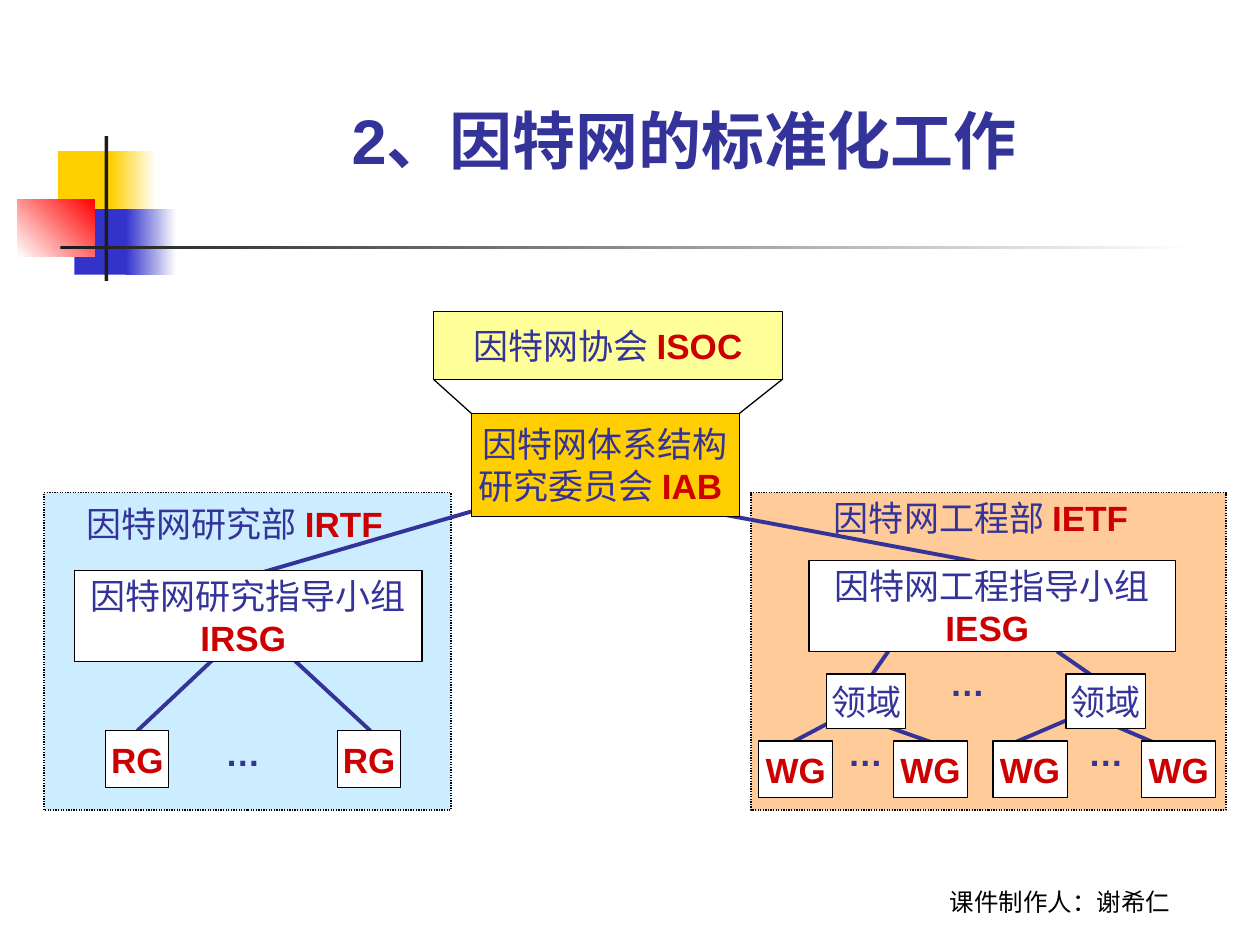
"""Builds the slide on the bodies that set Internet standards."""
import pptx
import pptx.util
import pptx.dml.color
import pptx.enum.dml
import pptx.enum.shapes
import pptx.enum.text
import pptx.oxml
import pptx.oxml.ns

RGB = pptx.dml.color.RGBColor
ALIGN = pptx.enum.text.PP_ALIGN
ANCHOR = pptx.enum.text.MSO_ANCHOR
AUTO = pptx.enum.text.MSO_AUTO_SIZE
RECT = pptx.enum.shapes.MSO_SHAPE.RECTANGLE
STRAIGHT = pptx.enum.shapes.MSO_CONNECTOR.STRAIGHT
DOTS = pptx.enum.dml.MSO_LINE.ROUND_DOT
inch = pptx.util.Inches

NAVY = RGB(0x33, 0x33, 0x99)
CRIMSON = RGB(0xCC, 0x00, 0x00)
BLACK = RGB(0x00, 0x00, 0x00)
WHITE = RGB(0xFF, 0xFF, 0xFF)
GOLD = RGB(0xFF, 0xCF, 0x01)
BLUE = RGB(0x33, 0x33, 0xCC)
RED = RGB(0xFF, 0x00, 0x00)
DARK = RGB(0x1C, 0x1C, 0x1C)
CREAM = RGB(0xFF, 0xFF, 0x99)
SKY = RGB(0xCC, 0xEC, 0xFF)
PEACH = RGB(0xFF, 0xCC, 0x99)

TITLE = "2、因特网的标准化工作"
CREDIT = "课件制作人：谢希仁"

DECOR = [
    ((0.46, 1.2, 0.48, 0.52), (GOLD,)),
    ((0.88, 1.2, 0.36, 0.52), (GOLD, WHITE, 0)),
    ((0.59, 1.66, 0.46, 0.52), (BLUE,)),
    ((1, 1.66, 0.4, 0.52), (BLUE, WHITE, 0)),
    ((0.14, 1.58, 0.61, 0.46), (WHITE, RED, 45)),
    ((0.83, 1.08, 0.03, 1.15), (DARK,)),
    ((0.48, 1.95, 9, 0.03), (DARK, WHITE, 0)),
]
PANELS = [((0.35, 3.91, 3.23, 2.52), SKY), ((5.96, 3.91, 3.77, 2.52), PEACH)]
LABELS = [
    ((0.59, 3.94, 2.8, 0.44), ["因特网研究部 ", "IRTF"], True),
    ((6.52, 3.89, 2.68, 0.44), ["因特网工程部 ", "IETF"], False),
]
DOTTED = [(7.44, 5.2), (6.63, 5.76), (8.54, 5.76), (1.69, 5.76)]
FUNNEL = [(3.44, 3.01, 3.74, 3.28), (6.21, 3.01, 5.87, 3.28)]
LINKS = [
    (2.26, 5.17, 2.94, 5.8), (1.76, 5.17, 1.09, 5.8),
    (2.09, 4.54, 3.74, 4.06), (7.76, 4.46, 5.29, 4),
    (6.89, 5.4, 7.05, 5.17), (8.39, 5.17, 8.65, 5.35),
    (6.63, 5.71, 6.29, 5.89), (6.88, 5.71, 7.39, 5.89),
    (8.48, 5.71, 8.06, 5.89), (8.73, 5.71, 9.15, 5.89),
]
BODIES = [
    ((3.44, 2.47, 2.77, 0.54), CREAM, [["因特网协会 ", "ISOC"]]),
    ((0.59, 4.53, 2.76, 0.72), WHITE, [["因特网研究指导小组"], ["IRSG "]]),
    ((6.42, 4.45, 2.91, 0.72), WHITE, [["因特网工程指导小组"], ["IESG "]]),
    ((3.74, 3.28, 2.13, 0.82), GOLD,
     [["因特网体系结构"], ["研究委员会 ", "IAB "]]),
]
# name, top, width, height, lefts
GROUPS = [
    ("RG", 5.8, 0.5, 0.45, (0.84, 2.68)),
    ("领域", 5.35, 0.63, 0.43, (6.56, 8.46)),
    ("WG", 5.88, 0.59, 0.45, (6.02, 7.09, 7.88, 9.06)),
]


def style(font, size, color, bold=False, name="Arial"):
    font.size, font.name, font.bold = pptx.util.Pt(size), name, bold
    font.color.rgb = color


def write(frame, rows, align=ALIGN.CENTER):
    for i, row in enumerate(rows):
        para = frame.add_paragraph() if i else frame.paragraphs[0]
        para.alignment = align
        for text in row:
            run = para.add_run()
            run.text = text
            code = text.isascii()
            style(run.font, 20, CRIMSON if code else NAVY, code or text == "…")


def block(slide, at, fill, edge=None):
    shape = slide.shapes.add_shape(RECT, *map(inch, at))
    shape.shadow.inherit = False
    if len(fill) == 1:
        shape.fill.solid()
        shape.fill.fore_color.rgb = fill[0]
    else:
        shape.fill.gradient()
        shape.fill.gradient_angle = fill[2]
        for i, stop in enumerate(shape.fill.gradient_stops):
            stop.position, stop.color.rgb = i, fill[i]
    if edge is None:
        shape.line.fill.background()
    else:
        shape.line.color.rgb = edge
        shape.line.width = pptx.util.Pt(0.75)
    return shape


def body(slide, at, fill, rows):
    frame = block(slide, at, (fill,), BLACK).text_frame
    frame.word_wrap = False
    frame.vertical_anchor = ANCHOR.MIDDLE
    write(frame, rows)


def label(slide, at, row, wrap=False):
    frame = slide.shapes.add_textbox(*map(inch, at)).text_frame
    frame.word_wrap = wrap
    frame.auto_size = AUTO.SHAPE_TO_FIT_TEXT
    write(frame, [row], ALIGN.LEFT)


def link(slide, ends, color, width):
    line = slide.shapes.add_connector(STRAIGHT, *map(inch, ends))
    line.line.color.rgb = color
    line.line.width = pptx.util.Pt(width)
    line._element.spPr.append(pptx.oxml.parse_xml(
        "<a:effectLst %s/>" % pptx.oxml.ns.nsdecls("a")))


def head(shape, text, size, color, bold, name):
    frame = shape.text_frame
    frame.text = text
    frame.word_wrap = True
    frame.auto_size = AUTO.NONE
    frame.vertical_anchor = ANCHOR.BOTTOM
    para = frame.paragraphs[0]
    para.alignment = ALIGN.CENTER
    style(para.runs[0].font, size, color, bold, name)


def main():
    deck = pptx.Presentation()
    deck.slide_width, deck.slide_height = inch(10), inch(7.5)
    slide = deck.slides.add_slide(deck.slide_layouts[5])
    title = slide.shapes.title
    title.left, title.top, title.width, title.height = map(
        inch, (1.06, 0.23, 8.74, 1.23))
    head(title, TITLE, 36, NAVY, True, "Arial")
    for at, fill in DECOR:
        block(slide, at, fill)
    credit = slide.shapes.add_textbox(*map(inch, (6.83, 6.82, 3.17, 0.5)))
    head(credit, CREDIT, 14, BLACK, False, "Karla")
    for at, fill in PANELS:
        block(slide, at, (fill,), BLACK).line.dash_style = DOTS
    for at, row, wrap in LABELS:
        label(slide, at, row, wrap)
    for left, top in DOTTED:
        label(slide, (left, top, 0.48, 0.44), ["…"])
    for ends in FUNNEL:
        link(slide, ends, BLACK, 0.75)
    for ends in LINKS:
        link(slide, ends, NAVY, 2.25)
    for at, fill, rows in BODIES:
        body(slide, at, fill, rows)
    for name, top, width, height, lefts in GROUPS:
        for left in lefts:
            body(slide, (left, top, width, height), WHITE, [[name]])
    deck.save("out.pptx")


if __name__ == "__main__":
    main()
